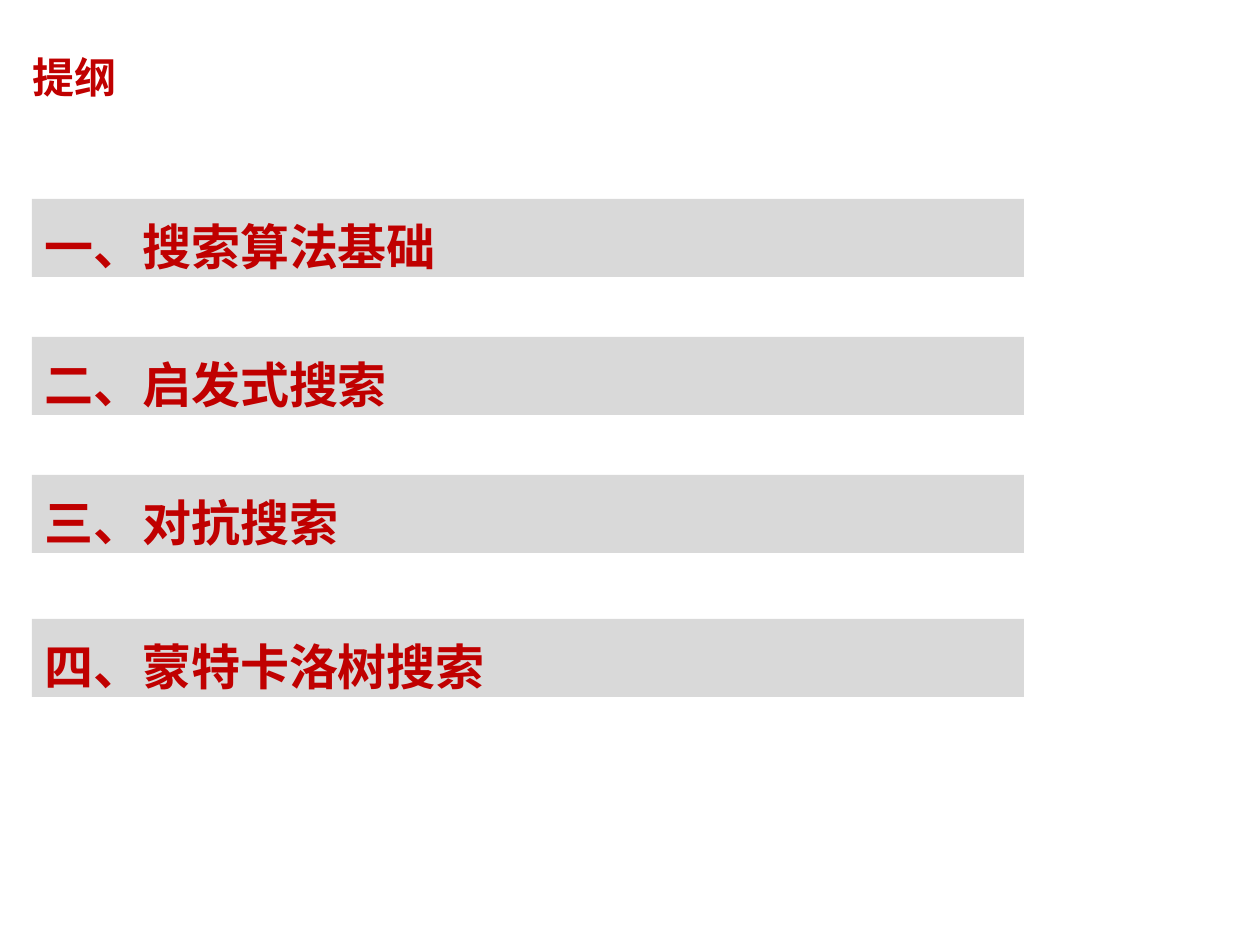
import pptx
import pptx.util
from pptx.dml.color import RGBColor
from pptx.enum.shapes import MSO_SHAPE
from pptx.enum.text import MSO_ANCHOR, MSO_AUTO_SIZE, PP_ALIGN

RED = RGBColor(0xC0, 0x00, 0x00)
GREY = RGBColor(0xD9, 0xD9, 0xD9)
FONT = "Times New Roman"
PX_PER_INCH = 126

SECTIONS = [
    (199, "一、搜索算法基础"),
    (337, "二、启发式搜索"),
    (475, "三、对抗搜索"),
    (619, "四、蒙特卡洛树搜索"),
]


def px(length):
    return pptx.util.Emu(round(length * 914400 / PX_PER_INCH))


def write(frame, text, size):
    """Put one line of bold red, left-aligned text in a frame."""
    frame.text = text
    frame.word_wrap = True
    para = frame.paragraphs[0]
    para.alignment = PP_ALIGN.LEFT
    font = para.runs[0].font
    font.name = FONT
    font.size = pptx.util.Pt(size)
    font.bold = True
    font.color.rgb = RED
    return para


def place_title(page, left, top, width, height):
    title = page.shapes.title
    title.left, title.top = px(left), px(top)
    title.width, title.height = px(width), px(height)
    frame = title.text_frame
    write(frame, "提纲", 24)
    frame.auto_size = MSO_AUTO_SIZE.NONE
    frame.vertical_anchor = MSO_ANCHOR.MIDDLE
    frame.margin_left = px(30)


def add_section_bar(page, text, left, top, width, height):
    bar = page.shapes.add_shape(
        MSO_SHAPE.RECTANGLE, px(left), px(top), px(width), px(height))
    bar.shadow.inherit = False
    bar.fill.solid()
    bar.fill.fore_color.rgb = GREY
    bar.line.fill.background()
    frame = bar.text_frame
    para = write(frame, text, 28)
    para.line_spacing = 1.2
    frame.vertical_anchor = MSO_ANCHOR.TOP
    frame.auto_size = MSO_AUTO_SIZE.SHAPE_TO_FIT_TEXT


def main():
    deck = pptx.Presentation()
    deck.slide_width, deck.slide_height = px(1260), px(945)
    page = deck.slides.add_slide(deck.slide_layouts[5])

    # Heading
    place_title(page, 3, 14, 935, 125)

    # Outline bars
    for top, text in SECTIONS:
        add_section_bar(page, text, 32, top, 992, 78)

    deck.save("out.pptx")


if __name__ == "__main__":
    main()
